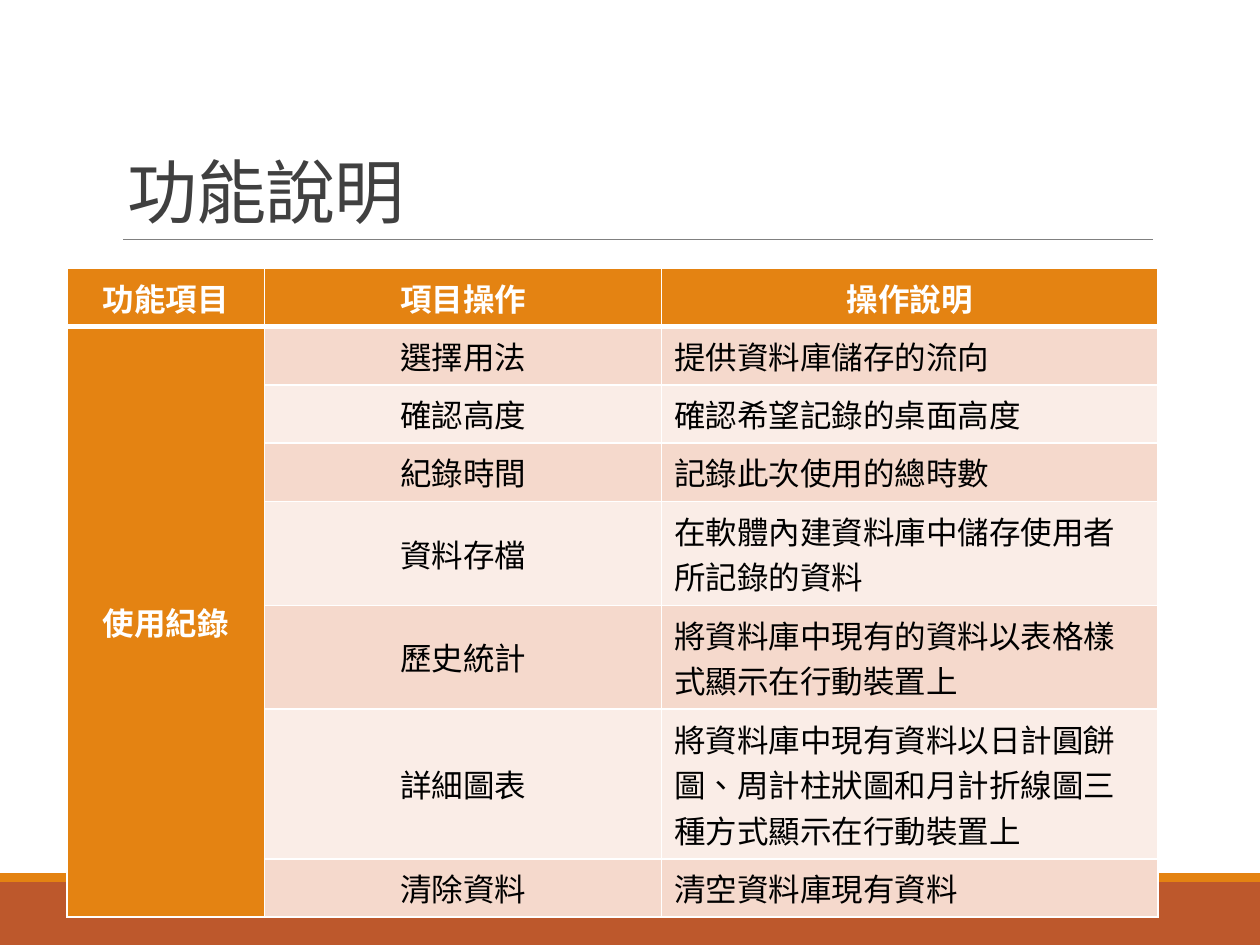
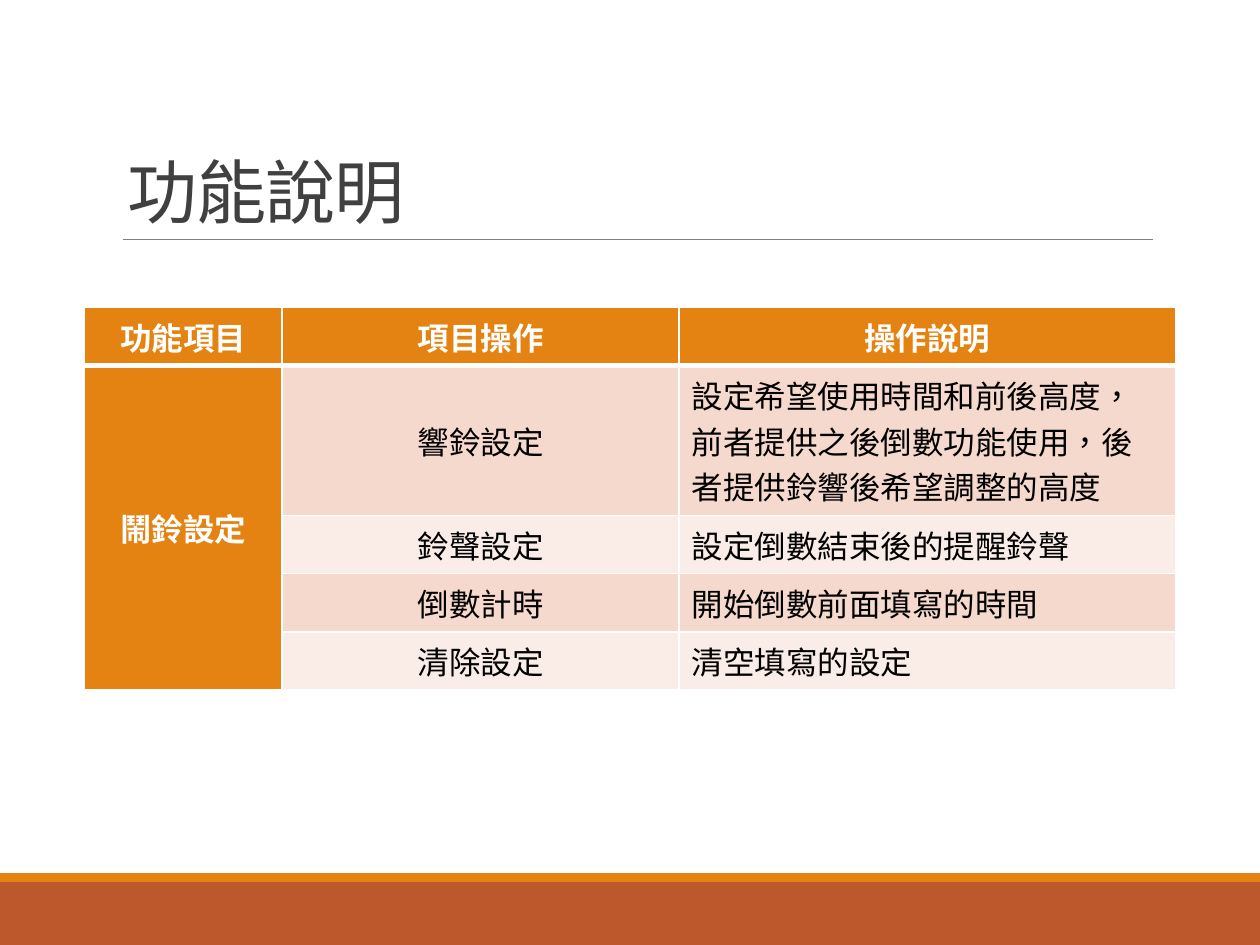
from math import ceil

from lxml.etree import SubElement
from pptx import Presentation
from pptx.dml.color import RGBColor
from pptx.enum.shapes import MSO_CONNECTOR, MSO_SHAPE
from pptx.enum.text import MSO_ANCHOR, PP_ALIGN
from pptx.oxml.ns import qn
from pptx.util import Inches, Pt

TITLE = "功能說明"
HEADERS = ["功能項目", "項目操作", "操作說明"]
TABLES = [
    {
        "left": 0.53, "top": 2.13, "feature": "使用紀錄",
        "actions": [
            ("選擇用法", "提供資料庫儲存的流向"),
            ("確認高度", "確認希望記錄的桌面高度"),
            ("紀錄時間", "記錄此次使用的總時數"),
            ("資料存檔", "在軟體內建資料庫中儲存使用者所記錄的資料"),
            ("歷史統計", "將資料庫中現有的資料以表格樣式顯示在行動裝置上"),
            ("詳細圖表", "將資料庫中現有資料以日計圓餅圖、周計柱狀圖和月計折線圖三種方式顯示在行動裝置上"),
            ("清除資料", "清空資料庫現有資料"),
        ],
    },
    {
        "left": 0.67, "top": 2.44, "feature": "鬧鈴設定",
        "actions": [
            ("響鈴設定", "設定希望使用時間和前後高度，前者提供之後倒數功能使用，後者提供鈴響後希望調整的高度"),
            ("鈴聲設定", "設定倒數結束後的提醒鈴聲"),
            ("倒數計時", "開始倒數前面填寫的時間"),
            ("清除設定", "清空填寫的設定"),
        ],
    },
]

WHITE = RGBColor(0xFF, 0xFF, 0xFF)
BLACK = RGBColor(0x00, 0x00, 0x00)
DARK_GRAY = RGBColor(0x40, 0x40, 0x40)
RULE_GRAY = RGBColor(0x80, 0x80, 0x80)
ORANGE = RGBColor(0xE4, 0x83, 0x12)
RUST = RGBColor(0xBD, 0x58, 0x2C)
ROW_FILLS = [RGBColor(0xF5, 0xD9, 0xCC), RGBColor(0xFA, 0xED, 0xE7)]

CJK_FONT = "Noto Sans CJK SC"
TITLE_FONT = {"name": "Calibri", "size": Pt(40)}
HEAD_FONT = {"name": CJK_FONT, "size": Pt(18), "bold": True}
BODY_FONT = {**HEAD_FONT, "bold": False}
BANDS = [(7, 0.5, RUST), (6.93, 0.07, ORANGE)]
COL_WIDTHS = [1.57, 3.15, 3.94]
CHARS_PER_LINE = 14
LINE_HEIGHT = Pt(26.1)
CELL_PADDING = Inches(0.1)


def add_run(p, text, font, color):
    r = p.add_run()
    r.text = text
    for name, value in font.items():
        setattr(r.font, name, value)
    r.font.color.rgb = color
    rPr = r.font._element
    rPr.set("lang", "zh-TW")
    SubElement(rPr, qn("a:ea"), typeface=CJK_FONT)
    return rPr


def add_frame(s):
    for top, height, color in BANDS:
        sp = s.shapes.add_shape(MSO_SHAPE.RECTANGLE, 0, Inches(top), Inches(10), Inches(height))
        sp.shadow.inherit = False
        sp.fill.solid()
        sp.fill.fore_color.rgb = color
        sp.line.fill.background()

    rule = s.shapes.add_connector(
        MSO_CONNECTOR.STRAIGHT, Inches(0.98), Inches(1.9), Inches(9.15), Inches(1.9))
    rule.line.color.rgb = RULE_GRAY
    rule.line.width = Pt(0.5)
    SubElement(rule._element.spPr, qn("a:effectLst"))

    tf = s.shapes.add_textbox(Inches(0.91), Inches(0.31), Inches(8.25), Inches(1.59)).text_frame
    tf.word_wrap = True
    tf.vertical_anchor = MSO_ANCHOR.BOTTOM
    p = tf.paragraphs[0]
    p.line_spacing = 0.85
    add_run(p, TITLE, TITLE_FONT, DARK_GRAY).set("spc", "-50")


def set_borders(cell, bottom):
    tcPr = cell._tc.get_or_add_tcPr()
    widths = {"a:lnL": 1, "a:lnR": 1, "a:lnT": 1, "a:lnB": bottom}
    for i, (tag, width) in enumerate(widths.items()):
        ln = SubElement(tcPr, qn(tag), w=str(Pt(width)))
        SubElement(SubElement(ln, qn("a:solidFill")), qn("a:srgbClr"), val=str(WHITE))
        tcPr.insert(i, ln)


def row_height(description):
    return CELL_PADDING + LINE_HEIGHT * ceil(len(description) / CHARS_PER_LINE)


def add_feature_table(s, left, top, feature, actions):
    rows = [HEADERS] + [(feature if i == 0 else "", *a) for i, a in enumerate(actions)]
    heights = [row_height(row[-1]) for row in rows]
    table = s.shapes.add_table(
        len(rows), len(COL_WIDTHS), Inches(left), Inches(top),
        Inches(sum(COL_WIDTHS)), sum(heights)).table
    for col, width in zip(table.columns, COL_WIDTHS):
        col.width = Inches(width)
    for i, row in enumerate(rows):
        table.rows[i].height = heights[i]
        for j, text in enumerate(row):
            cell = table.cell(i, j)
            is_head = i == 0 or j == 0
            cell.fill.solid()
            cell.fill.fore_color.rgb = ORANGE if is_head else ROW_FILLS[(i - 1) % 2]
            set_borders(cell, 3 if i == 0 else 1)
            if j == 1 or (j == 0 and i > 0):
                cell.vertical_anchor = MSO_ANCHOR.MIDDLE
            p = cell.text_frame.paragraphs[0]
            p.alignment = PP_ALIGN.CENTER if is_head or j == 1 else PP_ALIGN.LEFT
            if text:
                add_run(p, text, HEAD_FONT if is_head else BODY_FONT, WHITE if is_head else BLACK)
    table.cell(1, 0).merge(table.cell(len(actions), 0))


def main():
    prs = Presentation()
    prs.slide_width, prs.slide_height = Inches(10), Inches(7.5)
    for content in TABLES:
        s = prs.slides.add_slide(prs.slide_layouts[6])
        add_frame(s)
        add_feature_table(s, **content)
    prs.save("out.pptx")


if __name__ == "__main__":
    main()
